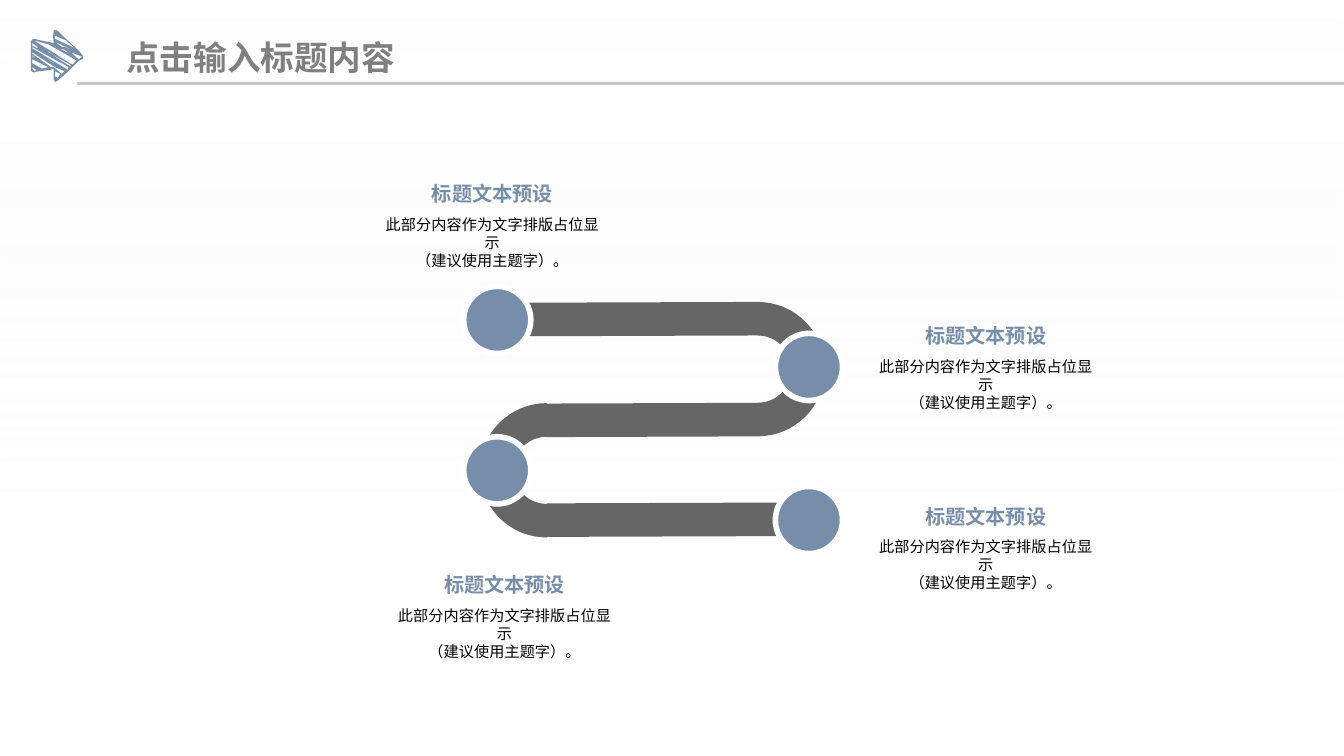
import copy
import math

import pptx
import pptx.dml.color
import pptx.enum.shapes
import pptx.enum.text
import pptx.oxml
import pptx.oxml.ns
import pptx.util

Pt = pptx.util.Pt
qn = pptx.oxml.ns.qn
PRESET = pptx.enum.shapes.MSO_SHAPE
ALIGN = pptx.enum.text.PP_ALIGN
ANCHOR = pptx.enum.text.MSO_ANCHOR

THEME = {
    "font": "Noto Sans CJK SC",
    "blue": "768EA9", "road": "666666", "rule": "C4C7CB", "white": "FFFFFF",
    "mist": "F2F2F2", "gray": "808080", "black": "000000",
    "title": 18, "heading": 10.8, "body": 8.1,
}

PAGE = (720, 405)
TITLE = "点击输入标题内容"
HEADING = "标题文本预设"
BODY = "此部分内容作为文字排版占位显示\v（建议使用主题字）。"
CAPTIONS = [(195.8, 93.6), (460.1, 169.9), (202.3, 303.1), (460.1, 266.4)]
CAPTION_WIDTH, HEADING_HEIGHT, BODY_HEIGHT = 136, 18, 27.4

TILT = 359.8
ROAD_WIDTH = 18
STRAIGHTS = [(257, 162, 149.8), (292.3, 216, 113.8), (293, 269.4, 149.8)]
BENDS = [(406, 197.8, 1), (293, 252, -1)]
BEND_RADIUS = 36
STOPS = [(415.4, 178.6), (248.4, 234), (248.4, 153.4), (415.4, 260.6)]
STOP_SIZE = 36

RULE = [(41, 43.9), (720, 43.9), (720, 45.4), (41.8, 45.4)]

ARROW_UNIT = 0.72
ARROW = [
    [(23, 31), (24, 29.3), (26, 29), (30, 30), (40, 32), (39.5, 27), (40, 23), (41, 22),
     (43, 23), (47, 27), (59, 38), (62, 42), (61.5, 44), (59, 45), (53, 51), (43, 60),
     (41, 61), (40, 59), (40, 51), (37, 52), (29, 53), (25, 53.8), (23.3, 53), (23, 51)],
    [(53, 39), (57, 43), (59, 44), (61, 42), (58, 41)],
    [(44, 36), (46, 37), (52, 40), (48, 37)],
    [(41, 29), (56, 36), (49, 30), (41, 26.5)],
    [(41, 31), (46, 35), (48, 35), (57, 39)],
    [(41, 53), (41, 57), (43, 58), (45, 55)],
    [(36, 38), (36, 39), (50, 48), (52, 49), (53, 49), (52, 48), (38, 40)],
    [(29, 40), (38, 46), (47, 51)],
    [(25, 30), (38, 38), (52, 47), (54, 48), (57, 45), (36, 33), (29, 31)],
    [(24, 32), (24, 34), (28, 36), (28, 35), (27, 34)],
    [(24, 35), (24, 36), (49, 51), (50, 52), (51, 50), (46, 47), (42, 45)],
    [(24, 39), (24, 40), (38, 50), (40, 50), (46, 55), (48, 53), (41, 50)],
    [(24, 41), (24, 42), (27, 44)],
    [(24, 44), (24, 47), (31, 51), (36, 50)],
    [(24, 50), (24, 51), (26, 53), (27, 52)],
]


def color(name):
    return pptx.dml.color.RGBColor.from_string(THEME[name])


def paint(shape, fill):
    shape.shadow.inherit = False
    shape.fill.solid()
    shape.fill.fore_color.rgb = color(fill)
    shape.line.fill.background()
    return shape


def add_outline(shapes, contours, fill):
    contours = [[(Pt(x), Pt(y)) for x, y in contour] for contour in contours]
    builder = shapes.build_freeform(*contours[0][0], scale=1.0)
    for contour in contours:
        builder.move_to(*contour[0])
        builder.add_line_segments(contour[1:], close=True)
    return paint(builder.convert_to_shape(), fill)


def add_preset(shapes, preset, box, fill, rotation=0):
    shape = paint(shapes.add_shape(preset, *map(Pt, box)), fill)
    shape.rotation = rotation
    return shape


def add_text(slide, box, text, size, ink, bold=False, align=ALIGN.CENTER, **frame_format):
    frame = slide.shapes.add_textbox(*map(Pt, box)).text_frame
    for name, value in {"word_wrap": True, **frame_format}.items():
        setattr(frame, name, value)
    paragraph = frame.paragraphs[0]
    paragraph.text = text
    for name, value in {"alignment": align, "line_spacing": 1.0}.items():
        setattr(paragraph, name, value)
    for run in paragraph.runs:
        for name, value in {"size": Pt(THEME[size]), "bold": bold, "name": THEME["font"]}.items():
            setattr(run.font, name, value)
        run.font.color.rgb = color(ink)
        properties = run._r.get_or_add_rPr()
        east_asian = pptx.oxml.parse_xml(f'<a:ea {pptx.oxml.ns.nsdecls("a")} typeface="{THEME["font"]}"/>')
        properties.append(east_asian)
    for line_break in paragraph._p.findall(qn("a:br")):
        line_break.append(copy.deepcopy(properties))


def add_backdrop(slide):
    backdrop = add_preset(slide.shapes, PRESET.RECTANGLE, (0, 0, *PAGE), "white")
    backdrop.fill.gradient()
    backdrop.fill.gradient_angle = 270
    stops = [("white", 0, 55), ("mist", 0.71, 0)]
    for stop, (name, position, _) in zip(backdrop.fill.gradient_stops, stops):
        stop.color.rgb = color(name)
        stop.position = position
    for element, (_, _, opacity) in zip(backdrop._element.iter(qn("a:srgbClr")), stops):
        alpha = f'<a:alpha {pptx.oxml.ns.nsdecls("a")} val="{opacity * 1000}"/>'
        element.append(pptx.oxml.parse_xml(alpha))


def bend_points(center_x, center_y, side, steps=32):
    angles = [math.pi * (step / steps - 0.5) for step in range(steps + 1)]

    def arc(radius, sweep):
        return [(center_x + side * radius * math.cos(angle), center_y + radius * math.sin(angle))
                for angle in sweep]

    return arc(BEND_RADIUS, angles) + arc(BEND_RADIUS - ROAD_WIDTH, reversed(angles))


def add_road(slide):
    shapes = slide.shapes.add_group_shape().shapes
    for bend in BENDS:
        add_outline(shapes, [bend_points(*bend)], "road")
    for left, top, length in STRAIGHTS:
        add_preset(shapes, PRESET.RECTANGLE, (left, top, length, ROAD_WIDTH), "road", TILT)
    for left, top in STOPS:
        stop = add_preset(shapes, PRESET.OVAL, (left, top, STOP_SIZE, STOP_SIZE), "blue", TILT)
        stop.line.color.rgb = color("white")
        stop.line.width = Pt(3)


def main():
    """Build the winding-road slide and save it."""
    presentation = pptx.Presentation()
    presentation.slide_width, presentation.slide_height = map(Pt, PAGE)
    slide = presentation.slides.add_slide(presentation.slide_layouts[6])
    add_backdrop(slide)
    add_outline(slide.shapes, [RULE], "rule")
    arrow = [[(x * ARROW_UNIT, y * ARROW_UNIT) for x, y in contour] for contour in ARROW]
    add_outline(slide.shapes, arrow, "blue")
    add_road(slide)
    for left, top in CAPTIONS:
        add_text(slide, (left, top, CAPTION_WIDTH, HEADING_HEIGHT), HEADING, "heading", "blue",
                 bold=True, word_wrap=False)
        add_text(slide, (left, top + HEADING_HEIGHT, CAPTION_WIDTH, BODY_HEIGHT), BODY, "body", "black")
    add_text(slide, (67.7, 15.5, 167.8, 30.2), TITLE, "title", "gray", bold=True, align=ALIGN.LEFT,
             vertical_anchor=ANCHOR.MIDDLE, margin_left=0, margin_right=0)
    presentation.save("out.pptx")


if __name__ == "__main__":
    main()
